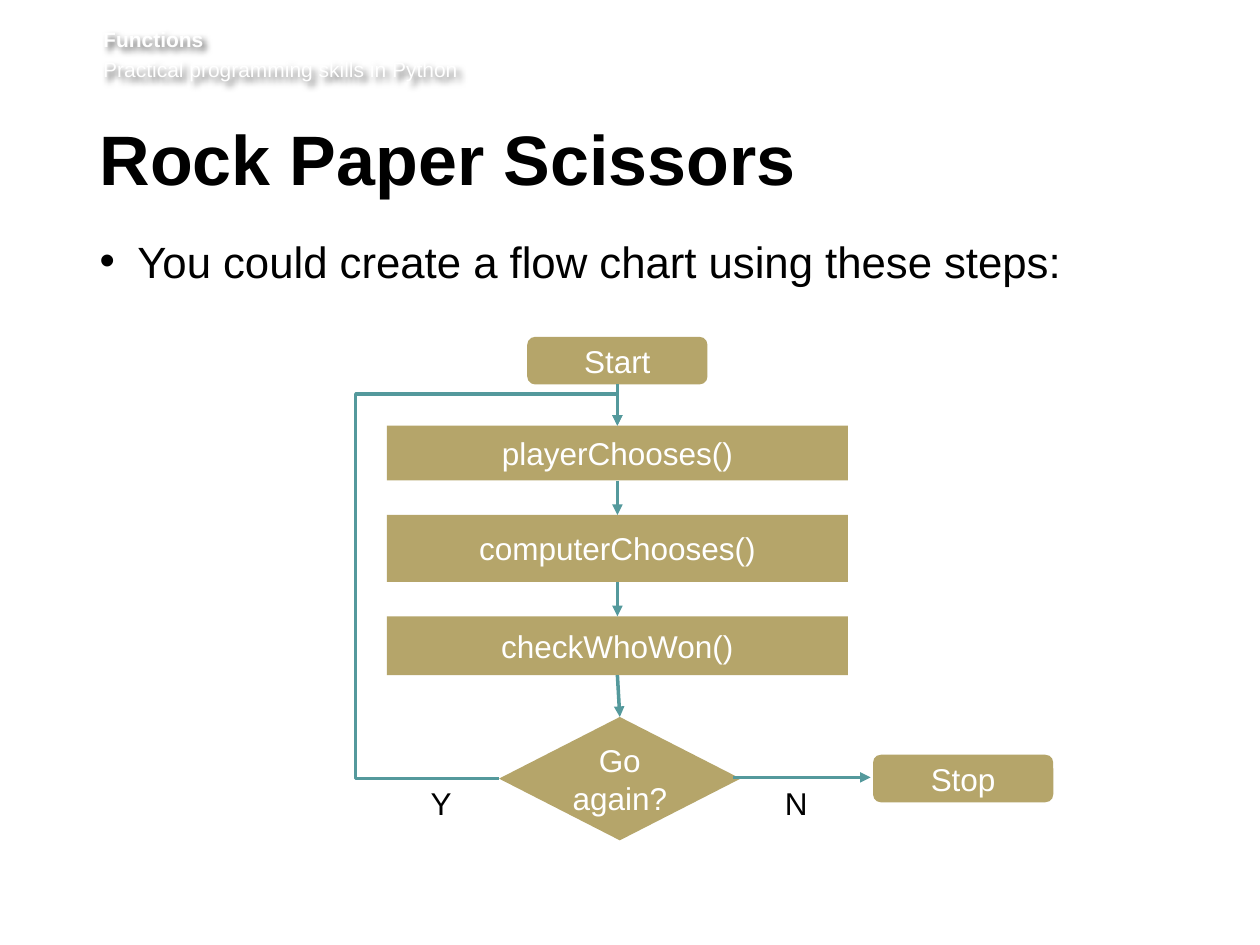
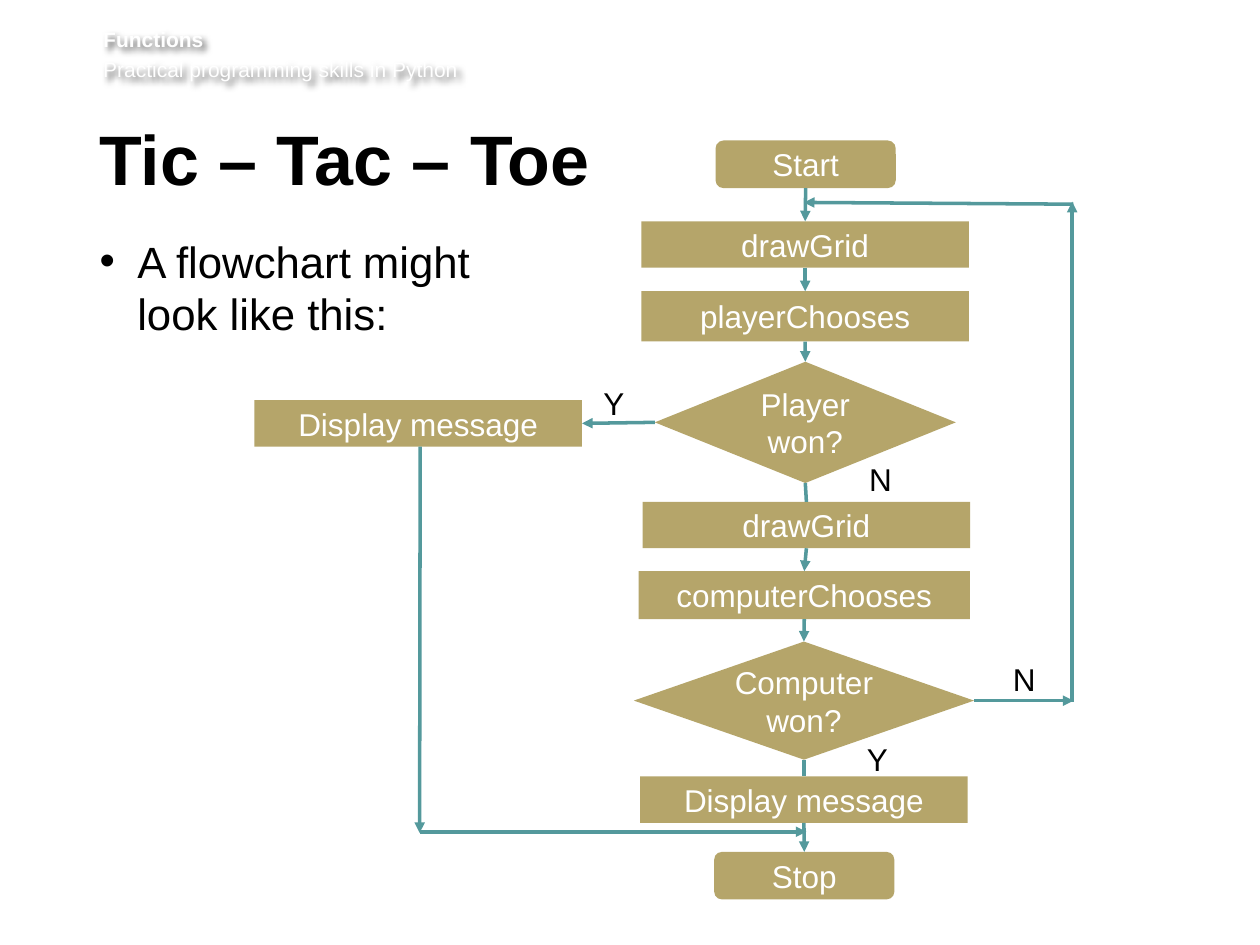
from itertools import pairwise

from lxml import etree
from pptx import Presentation
from pptx.dml import color
from pptx.enum import shapes, text
from pptx.oxml import ns
from pptx.util import Pt

FONT = "Arial"
BLACK, WHITE, SAND, TEAL = "000000", "FFFFFF", "B5A56A", "54999C"
BOX = shapes.MSO_SHAPE.RECTANGLE
PILL = shapes.MSO_SHAPE.ROUNDED_RECTANGLE
DIAMOND = shapes.MSO_SHAPE.DIAMOND
TOP, LEFT, BOTTOM = 0, 1, 2
PILL_SIZE = (103, 27.2)


def rgb(value):
    return color.RGBColor.from_string(value)


def points(*values):
    return [Pt(value) for value in values]


def add_child(parent, tag, **attributes):
    return etree.SubElement(parent, ns.qn(tag), {k: str(v) for k, v in attributes.items()})


def write(frame, lines, size=18, ink=BLACK, bold=False, align=text.PP_ALIGN.LEFT,
          anchor=text.MSO_ANCHOR.TOP, insets=(7.2, 3.6, 7.2, 3.6), wrap=True,
          line_spacing=None, gap=0, bullet=None):
    frame.word_wrap = wrap
    frame.auto_size = text.MSO_AUTO_SIZE.NONE
    frame.vertical_anchor = anchor
    frame.margin_left, frame.margin_top, frame.margin_right, frame.margin_bottom = points(*insets)
    frame.text = lines
    for number, paragraph in enumerate(frame.paragraphs):
        if bullet:
            properties = paragraph._p.get_or_add_pPr()
            properties.set("marL", str(Pt(21.6)))
            properties.set("indent", str(Pt(-21.6)))
            add_child(properties, "a:buFont", typeface=FONT)
            add_child(properties, "a:buChar", char=bullet)
        paragraph.alignment = align
        if line_spacing:
            paragraph.line_spacing = Pt(line_spacing)
        if gap and number:
            paragraph.space_before = Pt(gap)
        for run in paragraph.runs:
            run.font.name = FONT
            run.font.size = Pt(size)
            run.font.bold = bold
            run.font.color.rgb = rgb(ink)


def add_header(slide, left, top, width, height):
    header = slide.shapes.add_textbox(*points(left, top, width, height))
    write(header.text_frame, "Functions\nPractical programming skills in Python",
          size=12, ink=WHITE, insets=(0, 2.9, 0, 3.6), gap=2.9)
    header.text_frame.paragraphs[0].runs[0].font.bold = True
    effects = add_child(header._element.spPr, "a:effectLst")
    shadow = add_child(effects, "a:outerShdw", blurRad=Pt(4), dist=Pt(3), dir=2700000,
                       algn="tl", rotWithShape=0)
    add_child(add_child(shadow, "a:srgbClr", val=BLACK), "a:alpha", val=60000)


def add_page(deck, heading, point):
    slide = deck.slides.add_slide(deck.slide_layouts[5])
    add_header(slide, 59, 12.2, 635, 35.3)
    title = slide.shapes.title
    title.left, title.top, title.width, title.height = points(56.9, 71.3, 615.6, 52.6)
    write(title.text_frame, heading, size=40, bold=True, insets=(0, 3.6, 7.2, 3.6),
          line_spacing=39)
    body = slide.shapes.add_textbox(*points(56.9, 133.9, 614.2, 272.2))
    write(body.text_frame, point, size=25, insets=(0, 0, 7.2, 3.6), bullet="•")
    return slide


class Flowchart:
    def __init__(self, slide, axis, top):
        self.shapes, self.axis, self.top = slide.shapes, axis, top

    def place(self, x, y):
        return points(self.axis + x, self.top + y)

    def step(self, kind, words, centre, y, width, height):
        node = self.shapes.add_shape(kind, *self.place(centre - width / 2, y),
                                     *points(width, height))
        node.shadow.inherit = False
        node.fill.solid()
        node.fill.fore_color.rgb = rgb(SAND)
        node.line.fill.background()
        write(node.text_frame, words, ink=WHITE, align=text.PP_ALIGN.CENTER,
              anchor=text.MSO_ANCHOR.MIDDLE)
        return node

    def arrow(self, start, end, head=True, kind=shapes.MSO_CONNECTOR.STRAIGHT):
        line = self.shapes.add_connector(kind, *self.place(*start), *self.place(*end))
        line.line.color.rgb = rgb(TEAL)
        line.line.width = Pt(2)
        if head:
            add_child(line.line._get_or_add_ln(), "a:tailEnd", type="triangle")
        add_child(line._element.spPr, "a:effectLst")
        return line

    def link(self, source, target, leave=BOTTOM, enter=TOP, head=True):
        line = self.arrow((0, 0), (0, 0), head)
        line.begin_connect(source, leave)
        line.end_connect(target, enter)

    def loop_back(self, start, end, **bends):
        line = self.arrow(start, end, kind=shapes.MSO_CONNECTOR.ELBOW)
        geometry = line._element.spPr.find(ns.qn("a:prstGeom"))
        geometry.set("prst", "bentConnector4")
        guides = geometry.find(ns.qn("a:avLst"))
        if guides is None:
            guides = add_child(geometry, "a:avLst")
        for name, value in bends.items():
            add_child(guides, "a:gd", name=name, fmla=f"val {value}")

    def answer(self, letter, x, y, width=27):
        label = self.shapes.add_textbox(*self.place(x, y), *points(width, 29))
        write(label.text_frame, letter, wrap=False)


def draw_rock_paper_scissors(slide, axis, top):
    chart = Flowchart(slide, axis, top)
    column = [chart.step(*step) for step in (
        (PILL, "Start", 0, 0, *PILL_SIZE),
        (BOX, "playerChooses()", 0, 50.7, 263.5, 31.4),
        (BOX, "computerChooses()", 0, 101.8, 263.5, 38.2),
        (BOX, "checkWhoWon()", 0, 159.7, 263.5, 33.6),
        (DIAMOND, "Go again?", 1.4, 217.2, 138, 70.5),
    )]
    chart.step(PILL, "Stop", 197.6, 238.8, *PILL_SIZE)
    for source, target in pairwise(column):
        chart.link(source, target)
    chart.loop_back((-67.7, 252.5), (0, 50.7), adj1=-120900, adj2=108900)
    chart.arrow((66.2, 251.7), (144.7, 251.7))
    chart.answer("Y", -113.8, 251.7)
    chart.answer("N", 88.6, 251.7)


def draw_tic_tac_toe(slide, axis, top):
    chart = Flowchart(slide, axis, top)
    box_size = (187.2, 26.5)
    column = [chart.step(*step) for step in (
        (PILL, "Start", 0.3, 0, *PILL_SIZE),
        (BOX, "drawGrid", 0, 46.2, *box_size),
        (BOX, "playerChooses", 0, 86.1, 187.2, 28.8),
        (DIAMOND, "Player won?", 0.1, 126.4, 172, 69.3),
        (BOX, "drawGrid", 0.7, 206.5, *box_size),
        (BOX, "computerChooses", -0.5, 246.1, 189.4, 27.4),
        (DIAMOND, "Computer won?", -0.7, 286.3, 194.4, 67.5),
        (BOX, "Display message", -0.7, 363.4, *box_size),
        (PILL, "Stop", -0.5, 406.5, *PILL_SIZE),
    )]
    player_won, computer_won = column[3], column[6]
    player_message = chart.step(BOX, "Display message", -221.1, 148.4, *box_size)
    for source, target in pairwise(column):
        chart.link(source, target, head=source not in (player_won, computer_won))
    chart.link(player_won, player_message, leave=LEFT, enter=3)
    for start, end in (
        ((-220, 174.9), (-220.3, 395.7)),
        ((-220.3, 395), (0.7, 395)),
        ((96.5, 320.1), (153.3, 320.1)),
        ((152.6, 320.8), (152.6, 35)),
        ((153.3, 36.4), (-0.7, 35.4)),
    ):
        chart.arrow(start, end)
    for letter, x, y in (("N", 29.5, 179), ("Y", -122.4, 135.8),
                         ("N", 111.6, 293.5), ("Y", 28.1, 338.8)):
        chart.answer(letter, x, y)


def main():
    deck = Presentation()
    deck.slide_width, deck.slide_height = points(720, 540)
    draw_rock_paper_scissors(
        add_page(deck, "Rock Paper Scissors",
                 "You could create a flow chart using these steps:"), 352.8, 192.5)
    draw_tic_tac_toe(
        add_page(deck, "Tic – Tac – Toe", "A flowchart might\vlook like this:"), 460.1, 80.3)
    deck.save("out.pptx")


if __name__ == "__main__":
    main()
